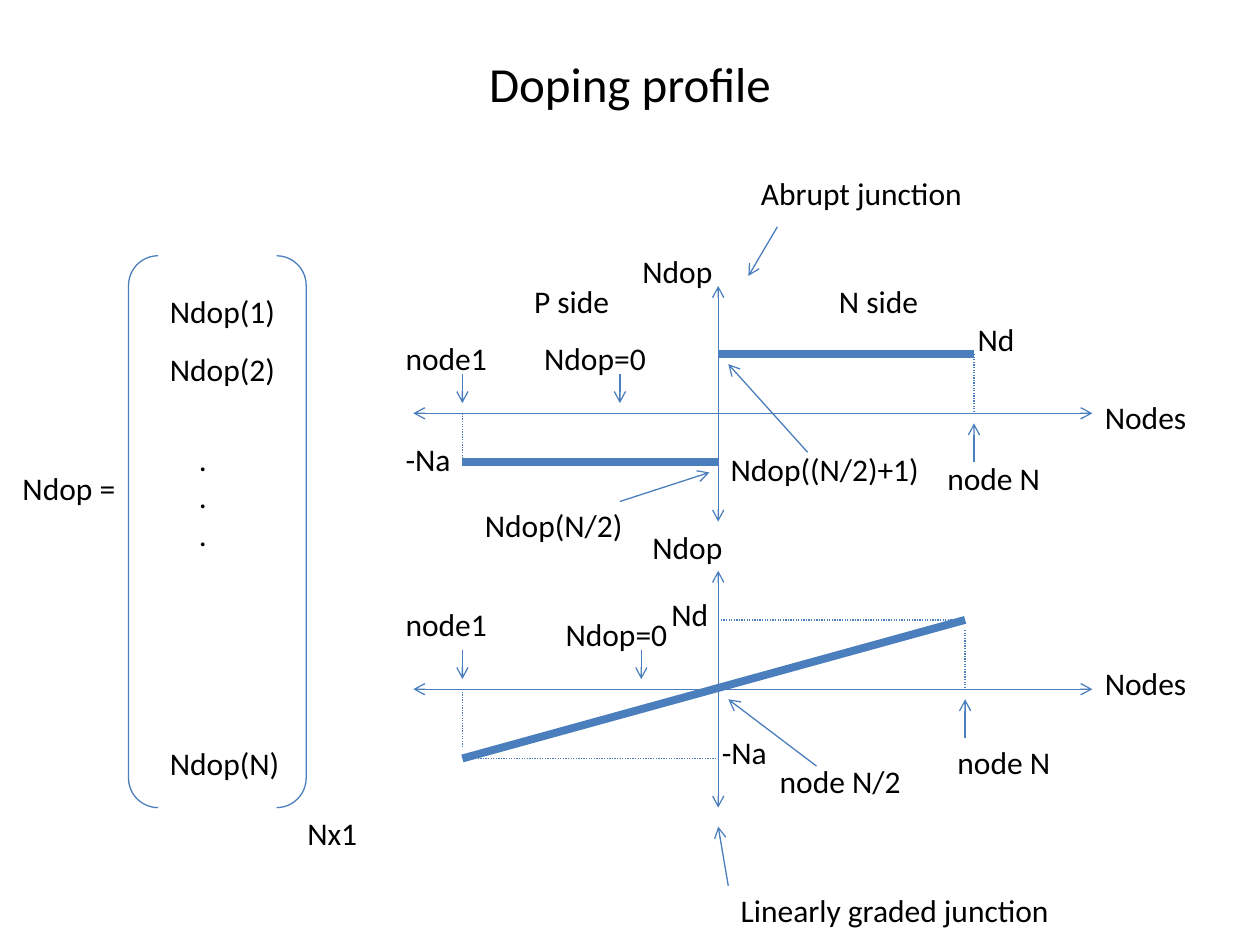
from lxml import etree
from pptx import Presentation
from pptx import util as u
from pptx.dml.color import RGBColor
from pptx.enum import dml, shapes, text
from pptx.oxml.ns import qn

COLORS = {"line": "4B7EBC", "text": "000000"}
FONT = "Calibri"
AXIS_LEFT, AXIS_RIGHT, CENTER = 3.28, 8.67, 5.7
NODE_1, ABRUPT_END, GRADED_END = 3.67, 7.73, 7.66
ABRUPT_AXIS, GRADED_AXIS = 3.28, 5.47
ABRUPT_ND, ABRUPT_NA = 2.81, 3.67
GRADED_ND, GRADED_NA = 4.92, 6.02


def color(name):
    """Return the named palette colour."""
    return RGBColor.from_string(COLORS[name])


def format_paragraph(paragraph, size):
    """Apply the slide font to a paragraph."""
    paragraph.font.name = FONT
    paragraph.font.size = u.Pt(size)
    paragraph.font.color.rgb = color("text")


def add_title(slide, content):
    """Fill and place the title placeholder."""
    title = slide.shapes.title
    title.left, title.top = u.Inches(0.5), u.Inches(0.3)
    title.width, title.height = u.Inches(9), u.Inches(0.72)
    title.text_frame.text = content
    title.text_frame.vertical_anchor = text.MSO_ANCHOR.MIDDLE
    paragraph = title.text_frame.paragraphs[0]
    paragraph.alignment = text.PP_ALIGN.CENTER
    format_paragraph(paragraph, 28)


def add_label(slide, content, left, top, width, height=0.4):
    """Add a left-aligned label, one paragraph per line."""
    box = slide.shapes.add_textbox(*map(u.Inches, (left, top, width, height)))
    frame = box.text_frame
    frame.word_wrap = True
    frame.auto_size = text.MSO_AUTO_SIZE.SHAPE_TO_FIT_TEXT
    frame.text = content
    for paragraph in frame.paragraphs:
        format_paragraph(paragraph, 18)


def add_line(slide, start, end, width=0.75, dotted=False, arrows=()):
    """Add a straight line with optional dots and arrowheads."""
    connector = slide.shapes.add_connector(
        shapes.MSO_CONNECTOR.STRAIGHT, *map(u.Inches, (*start, *end)))
    connector.line.color.rgb = color("line")
    connector.line.width = u.Pt(width)
    if dotted:
        connector.line.dash_style = dml.MSO_LINE.ROUND_DOT
    properties = connector.element.spPr
    for arrow in arrows:
        line = properties.find(qn("a:ln"))
        etree.SubElement(line, qn(f"a:{arrow}"), type="arrow")
    etree.SubElement(properties, qn("a:effectLst"))


def add_pointer(slide, start, end):
    """Add a line with an arrowhead at its end."""
    add_line(slide, start, end, arrows=("tailEnd",))


def add_axes(slide, axis, top, bottom):
    """Add a double-headed horizontal and vertical axis."""
    ends = (((AXIS_LEFT, axis), (AXIS_RIGHT, axis)), ((CENTER, top), (CENTER, bottom)))
    for start, end in ends:
        add_line(slide, start, end, arrows=("headEnd", "tailEnd"))


def add_plot(slide, axis, top, bottom, profile, guides, zero, node_n):
    """Add one doping plot with its axes, profile, guides and node pointers."""
    add_axes(slide, axis, top, bottom)
    for start, end in profile:
        add_line(slide, start, end, width=4.5)
    for start, end in guides:
        add_line(slide, start, end, dotted=True)
    for x in (NODE_1, zero):
        add_pointer(slide, (x, axis - 0.31), (x, axis - 0.08))
    add_pointer(slide, (node_n, axis + 0.39), (node_n, axis + 0.08))


def add_vector(slide):
    """Add the bracketed doping vector."""
    bracket = slide.shapes.add_shape(
        shapes.MSO_SHAPE.DOUBLE_BRACKET, *map(u.Inches, (1.02, 2.03, 1.41, 4.38)))
    bracket.shadow.inherit = False
    bracket.fill.background()
    bracket.line.color.rgb = color("line")
    bracket.line.width = u.Pt(0.75)
    for index, top in (("1", 2.27), ("2", 2.73), ("N", 5.86)):
        add_label(slide, f"Ndop({index})", 1.25, top, 1.09)
    add_label(slide, ".\n.\n.", 1.48, 3.44, 0.78, 1.01)
    add_label(slide, "Ndop =", 0.08, 3.67, 1.25)
    add_label(slide, "Nx1", 2.34, 6.41, 0.78)


def add_abrupt_junction(slide):
    """Add the abrupt junction plot and its labels."""
    add_plot(
        slide, ABRUPT_AXIS, 2.27, 4.14,
        profile=[((CENTER, ABRUPT_ND), (ABRUPT_END, ABRUPT_ND)),
                 ((NODE_1, ABRUPT_NA), (CENTER, ABRUPT_NA))],
        guides=[((ABRUPT_END, ABRUPT_ND), (ABRUPT_END, ABRUPT_AXIS)),
                ((NODE_1, ABRUPT_AXIS), (NODE_1, ABRUPT_NA))],
        zero=4.92, node_n=ABRUPT_END)
    for label in (
        ("Abrupt junction", 5.94, 1.33, 3.05), ("Ndop", 5, 1.95, 0.78),
        ("P side", 4.14, 2.19, 1.02), ("N side", 6.56, 2.19, 1.02),
        ("Nd", 7.66, 2.49, 0.55), ("-Na", 3.12, 3.44, 0.78),
        ("node1", 3.12, 2.64, 1.25), ("Ndop=0", 4.22, 2.64, 1.02),
        ("Nodes", 8.67, 3.11, 1.02), ("node N", 7.42, 3.59, 1.02),
        ("Ndop(N/2)", 3.75, 3.97, 1.48), ("Ndop((N/2)+1)", 5.7, 3.52, 1.72),
    ):
        add_label(slide, *label)
    add_pointer(slide, (6.17, 1.8), (5.94, 2.19))
    add_pointer(slide, (4.92, 3.98), (5.63, 3.75))
    add_pointer(slide, (6.41, 3.59), (5.78, 2.89))


def add_graded_junction(slide):
    """Add the linearly graded junction plot and its labels."""
    add_plot(
        slide, GRADED_AXIS, 4.53, 6.41,
        profile=[((NODE_1, GRADED_NA), (GRADED_END, GRADED_ND))],
        guides=[((GRADED_END, 5), (GRADED_END, GRADED_AXIS)),
                ((CENTER, GRADED_ND), (GRADED_END, GRADED_ND)),
                ((3.75, GRADED_NA), (CENTER, GRADED_NA)),
                ((NODE_1, GRADED_AXIS), (NODE_1, 5.94))],
        zero=5.09, node_n=GRADED_END)
    for label in (
        ("Ndop", 5.08, 4.14, 0.94), ("Nd", 5.23, 4.67, 0.55),
        ("-Na", 5.63, 5.77, 0.78), ("node1", 3.12, 4.75, 1.25),
        ("Ndop=0", 4.39, 4.83, 1.02), ("Nodes", 8.67, 5.22, 1.02),
        ("node N", 7.5, 5.85, 1.25), ("node N/2", 6.09, 6, 1.33),
        ("Linearly graded junction", 5.78, 7.02, 3.05),
    ):
        add_label(slide, *label)
    add_pointer(slide, (6.48, 6.08), (5.78, 5.55))
    add_pointer(slide, (5.78, 7.03), (5.7, 6.56))


def main():
    """Build and save the doping profile slide."""
    presentation = Presentation()
    presentation.slide_width = u.Inches(10)
    presentation.slide_height = u.Inches(7.5)
    slide = presentation.slides.add_slide(presentation.slide_layouts[5])
    add_title(slide, "Doping profile")
    add_vector(slide)
    add_abrupt_junction(slide)
    add_graded_junction(slide)
    presentation.save("out.pptx")


main()
